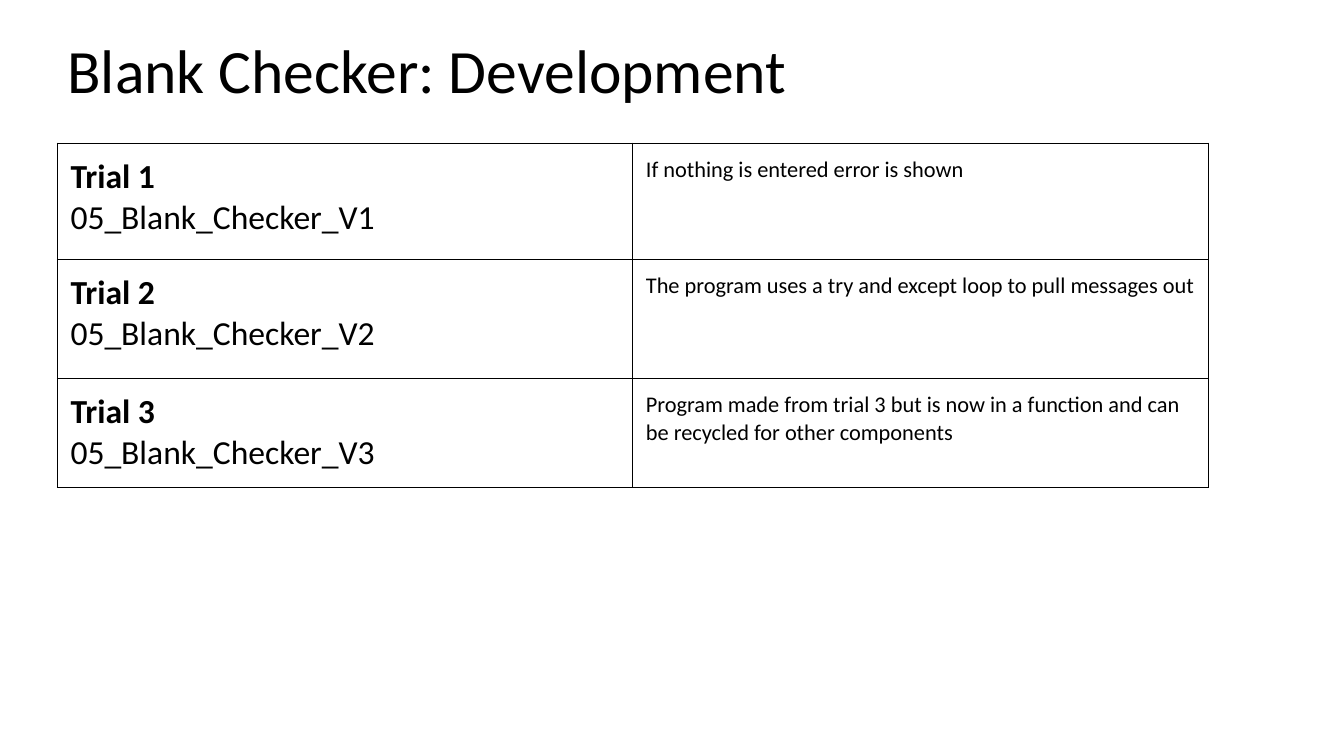
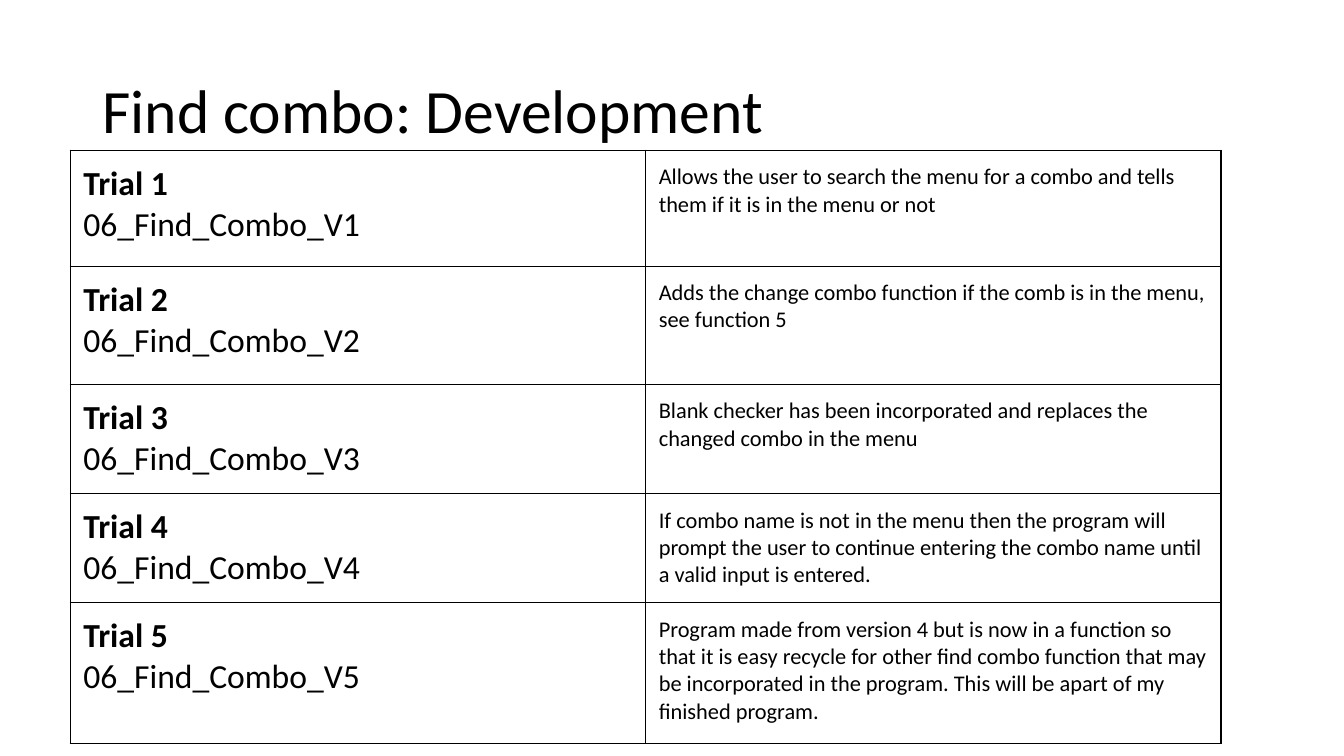
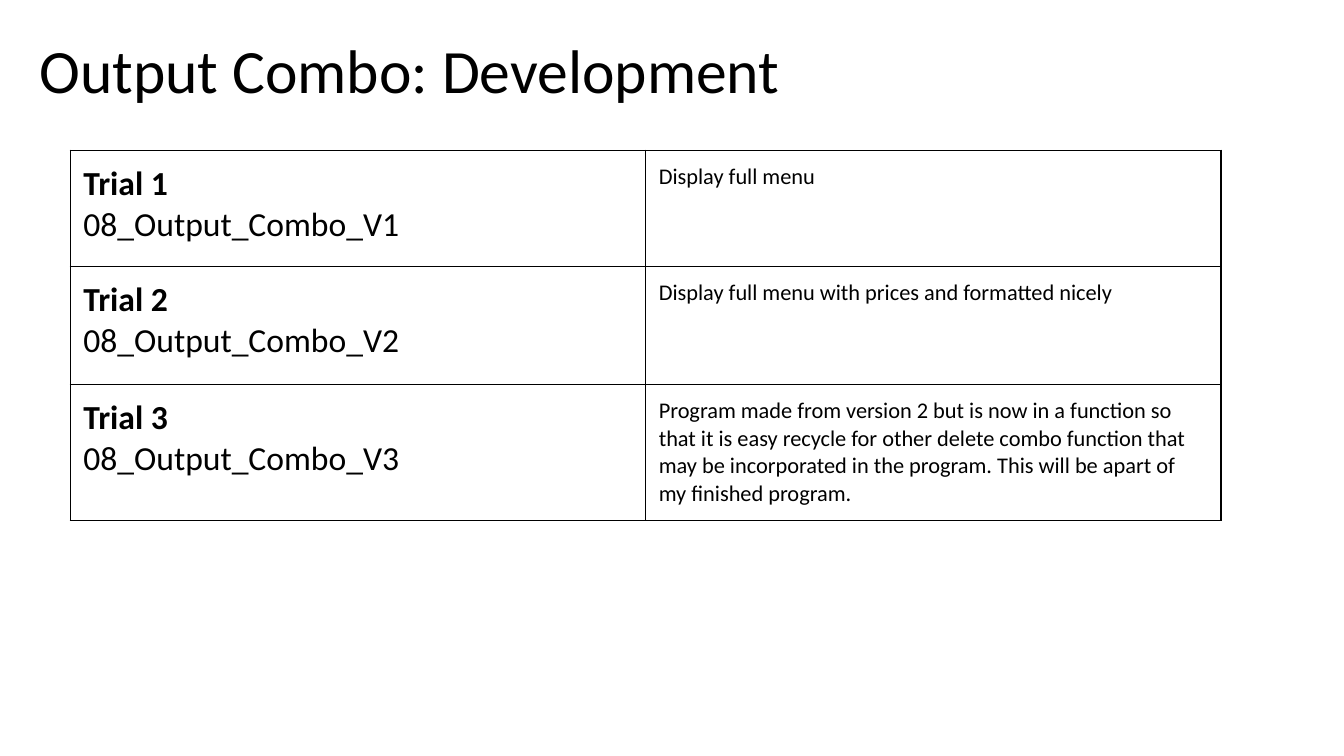
from lxml.etree import SubElement as Sub
from pptx import Presentation
from pptx.dml.color import RGBColor as RGB
from pptx.enum.text import MSO_ANCHOR as Anchor, MSO_AUTO_SIZE as Fit, PP_ALIGN as Align
from pptx.oxml.ns import qn
from pptx.util import Pt

HUES = {"ink": "000000"}
FONT = "Calibri"
COL_W = 411
INSET = 9.4


def write(par, text, size=16, bold=False, hue="ink", lead=None):
    par.alignment = Align.LEFT
    if lead:
        par.line_spacing = lead
    run = par.add_run()
    run.text = text
    font = run.font
    font.name, font.size, font.bold = FONT, Pt(size), bold
    font.color.rgb = RGB.from_string(HUES[hue])


def frame(cell, width=1):
    """Draw a solid line on all four sides of a table cell."""
    props = cell._tc.get_or_add_tcPr()
    for side in ("lnL", "lnR", "lnT", "lnB"):
        line = Sub(props, qn(f"a:{side}"), w=str(Pt(width)))
        fill = Sub(line, qn("a:solidFill"))
        Sub(fill, qn("a:srgbClr"), val=HUES["ink"])


class Deck:
    def __init__(self):
        self.prs = Presentation()
        self.prs.slide_width, self.prs.slide_height = Pt(960), Pt(540)
        self.slide = None

    def page(self, title, left, top):
        self.slide = self.prs.slides.add_slide(self.prs.slide_layouts[5])
        box = self.slide.shapes.title
        box.left, box.top, box.width, box.height = Pt(left), Pt(top), Pt(828), Pt(104.4)
        text = box.text_frame
        text.word_wrap, text.auto_size = True, Fit.NONE
        text.vertical_anchor = Anchor.MIDDLE
        write(text.paragraphs[0], title, size=44, lead=0.9)

    def cell(self, cell, *lines):
        """Fill a cell with one paragraph per (text, format) pair."""
        cell.margin_left = cell.margin_right = Pt(INSET)
        cell.margin_top = cell.margin_bottom = Pt(INSET)
        cell.vertical_anchor = Anchor.TOP
        frame(cell)
        cell.fill.background()
        text = cell.text_frame
        for i, (words, style) in enumerate(lines):
            par = text.add_paragraph() if i else text.paragraphs[0]
            write(par, words, **style)

    def trials(self, stem, left, top, rows):
        """Add a table of numbered trials from (height, note) rows."""
        total = sum(height for height, _ in rows)
        grid = self.slide.shapes.add_table(
            len(rows), 2, Pt(left), Pt(top), Pt(2 * COL_W), Pt(total)).table
        grid.first_row = grid.horz_banding = False
        for col in grid.columns:
            col.width = Pt(COL_W)
        for i, (height, note) in enumerate(rows):
            grid.rows[i].height = Pt(height)
            self.cell(grid.cell(i, 0),
                      (f"Trial {i + 1}", {"size": 24, "bold": True}),
                      (f"{stem}_V{i + 1}", {"size": 24}))
            self.cell(grid.cell(i, 1), (note, {"size": 16}))


def main():
    deck = Deck()

    deck.page("Blank Checker: Development", 41, 0)
    deck.trials("05_Blank_Checker", 41, 102.4, [
        (82.8, "If nothing is entered error is shown"),
        (85, "The program uses a try and except loop to pull messages out"),
        (78, "Program made from trial 3 but is now in a function and can be "
             "recycled for other components"),
    ])

    deck.page("Find combo: Development", 66, 28.8)
    deck.trials("06_Find_Combo", 50.2, 107.3, [
        (82.8, "Allows the user to search the menu for a combo and tells them "
               "if it is in the menu or not"),
        (84.5, "Adds the change combo function if the comb is in the menu, "
               "see function 5"),
        (78, "Blank checker has been incorporated and replaces the changed "
             "combo in the menu"),
        (78, "If combo name is not in the menu then the program will prompt "
             "the user to continue entering the combo name until a valid "
             "input is entered."),
        (100.6, "Program made from version 4 but is now in a function so that "
                "it is easy recycle for other find combo function that may be "
                "incorporated in the program. This will be apart of my "
                "finished program."),
    ])

    deck.page("Output Combo: Development", 21, 0)
    deck.trials("08_Output_Combo", 50.2, 107.3, [
        (82.8, "Display full menu"),
        (84.5, "Display full menu with prices and formatted nicely"),
        (97, "Program made from version 2 but is now in a function so that it "
             "is easy recycle for other delete combo function that may be "
             "incorporated in the program. This will be apart of my finished "
             "program."),
    ])

    deck.prs.save("out.pptx")


if __name__ == "__main__":
    main()
